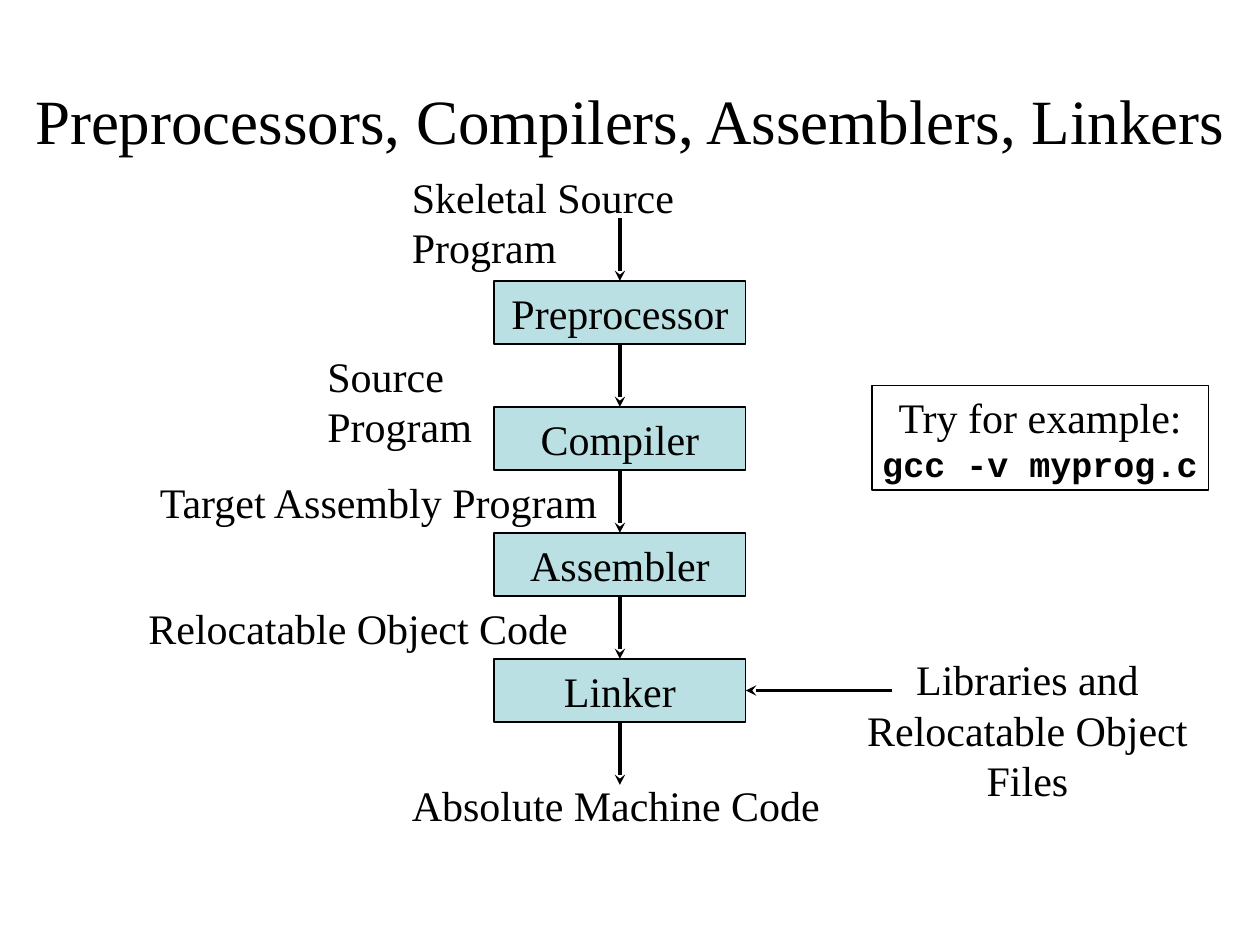
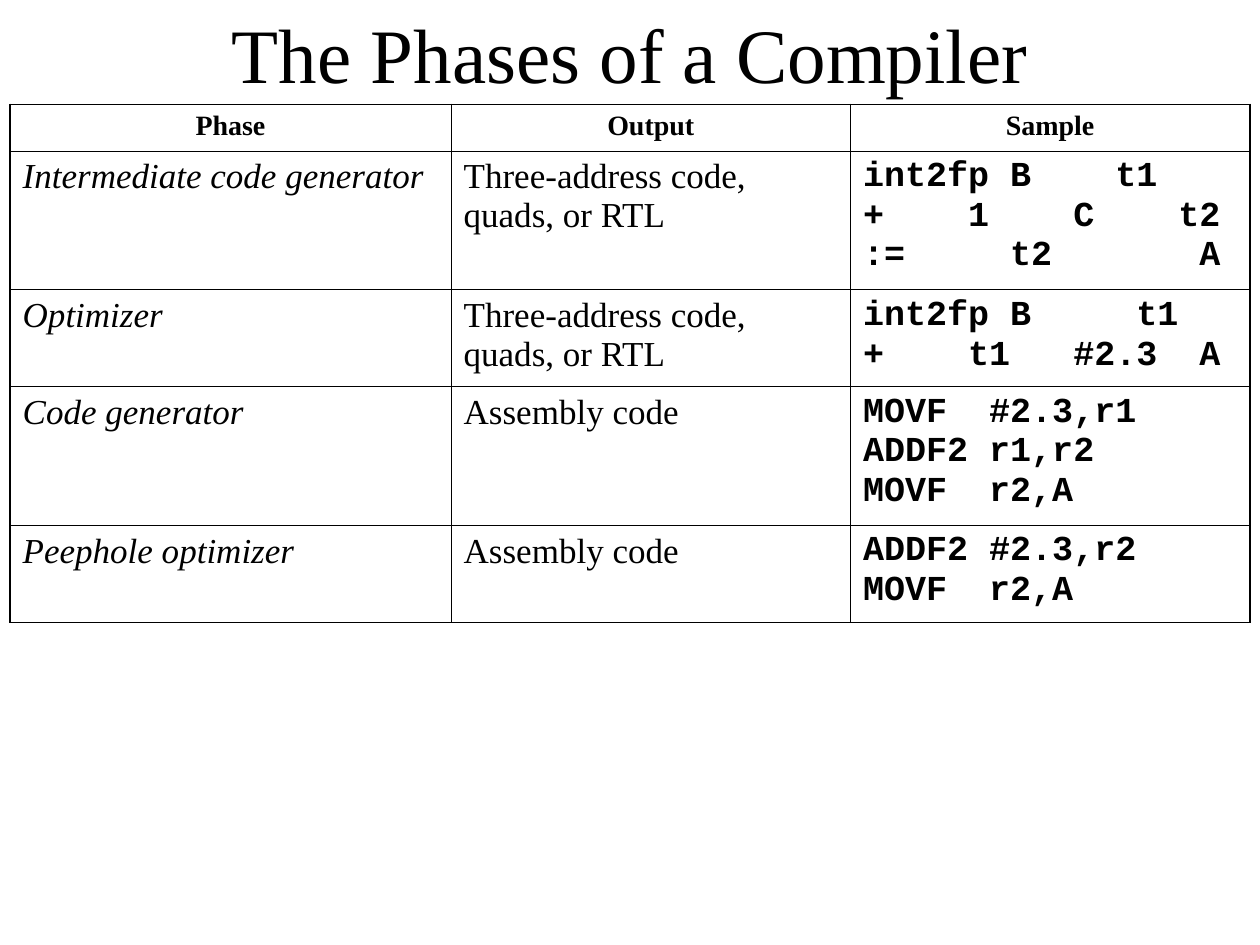
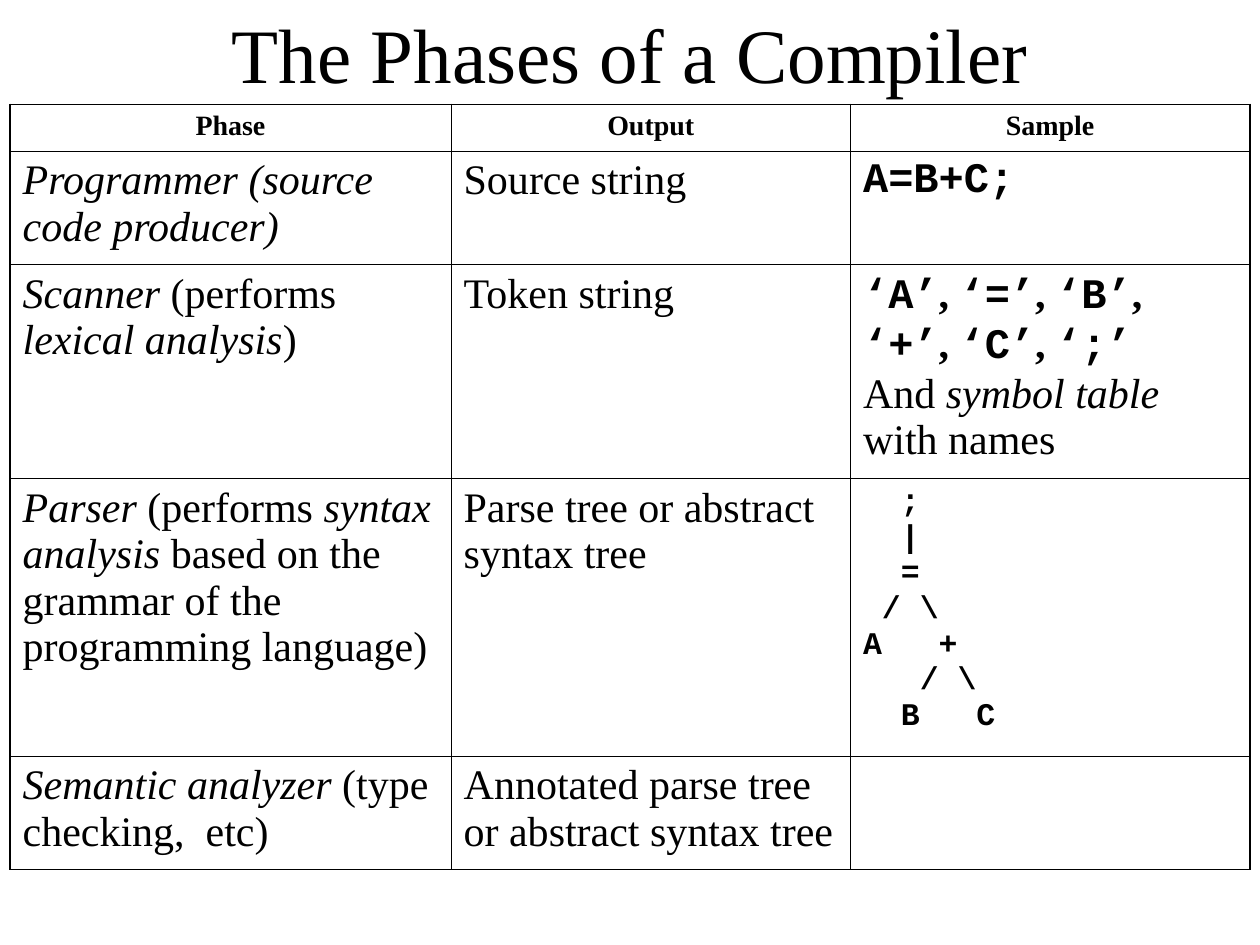
from lxml import etree
from pptx import Presentation
from pptx.dml.color import RGBColor
from pptx.enum.shapes import MSO_CONNECTOR, MSO_SHAPE
from pptx.enum.text import MSO_ANCHOR, MSO_AUTO_SIZE, PP_ALIGN
from pptx.oxml.ns import qn
from pptx.util import Inches, Pt

RECTANGLE = MSO_SHAPE.RECTANGLE
STRAIGHT = MSO_CONNECTOR.STRAIGHT
LEFT, CENTER = PP_ALIGN.LEFT, PP_ALIGN.CENTER
MIDDLE = MSO_ANCHOR.MIDDLE
GROW = MSO_AUTO_SIZE.SHAPE_TO_FIT_TEXT
TOP_SIDE, BOTTOM_SIDE, RIGHT_SIDE = 0, 2, 3

COLORS = {"ink": "000000", "stage": "BBE0E3"}
SERIF, MONO = "Times New Roman", "Courier New"
FORMATS = {
    "plain": {"name": SERIF, "bold": False, "italic": False},
    "italic": {"name": SERIF, "bold": False, "italic": True},
    "bold": {"name": SERIF, "bold": True, "italic": False},
    "code": {"name": MONO, "bold": True, "italic": False},
}
FRAMES = {
    "title": {"word_wrap": True, "vertical_anchor": MIDDLE},
    "label": {"word_wrap": False, "auto_size": GROW},
    "box": {"word_wrap": False, "vertical_anchor": MIDDLE},
}
THICK, THIN = 1.08, 0.45
COLUMN_WIDTHS = [3.5, 3.17, 3.17]
HEADINGS = ["Phase", "Output", "Sample"]
PHASES_TITLE = "The Phases of a Compiler"


def color(key):
    return RGBColor.from_string(COLORS[key])


def set_values(target, values):
    for attribute, value in values.items():
        setattr(target, attribute, value)


class Deck:
    def __init__(self):
        self.presentation = Presentation()
        self.presentation.slide_width = Inches(10)
        self.presentation.slide_height = Inches(7.5)
        self.slide = None

    def new_slide(self):
        blank = self.presentation.slide_layouts[6]
        self.slide = self.presentation.slides.add_slide(blank)

    def add_runs(self, paragraph, runs, size, align=LEFT, before=0):
        set_values(paragraph, {"alignment": align, "space_before": Pt(before)})
        for text, style in runs:
            for number, line in enumerate(text.split("\n")):
                if number:
                    paragraph.add_line_break()
                if line:
                    run = paragraph.add_run()
                    run.text = line
                    set_values(run.font, FORMATS[style])
                    run.font.size = Pt(size)
                    run.font.color.rgb = color("ink")

    def fill_frame(self, frame, kind, lines, align):
        set_values(frame, FRAMES[kind])
        for number, (text, style, size) in enumerate(lines):
            paragraph = frame.add_paragraph() if number else frame.paragraphs[0]
            self.add_runs(paragraph, [(text, style)], size, align)

    def text(self, at, kind, lines, align=LEFT):
        label = self.slide.shapes.add_textbox(*map(Inches, at))
        self.fill_frame(label.text_frame, kind, lines, align)

    def title(self, text, at, size):
        self.text(at, "title", [(text, "plain", size)], CENTER)

    def box(self, at, lines, fill=None):
        box = self.slide.shapes.add_shape(RECTANGLE, *map(Inches, at))
        box.shadow.inherit = False
        if fill:
            box.fill.solid()
            box.fill.fore_color.rgb = color(fill)
        else:
            box.fill.background()
        box.line.color.rgb = color("ink")
        box.line.width = Pt(0.75)
        self.fill_frame(box.text_frame, "box", lines, CENTER)
        return box

    def arrow(self, start, end, source=None, target=None):
        arrow = self.slide.shapes.add_connector(STRAIGHT, *map(Inches, start + end))
        if source:
            arrow.begin_connect(*source)
        if target:
            arrow.end_connect(*target)
        arrow.line.color.rgb = color("ink")
        arrow.line.width = Pt(2)
        properties = arrow._element.spPr
        etree.SubElement(properties.find(qn("a:ln")), qn("a:tailEnd"), type="stealth")
        etree.SubElement(properties, qn("a:effectLst"))

    def borders(self, cell, weights):
        cell.fill.background()
        properties = cell._tc.get_or_add_tcPr()
        for position, (side, weight) in enumerate(weights.items()):
            line = etree.Element(qn(f"a:ln{side}"), w=str(Pt(weight)))
            fill = etree.SubElement(line, qn("a:solidFill"))
            etree.SubElement(fill, qn("a:srgbClr"), val=COLORS["ink"])
            properties.insert(position, line)

    def phase_table(self, heights, rows, size, bottom, sizes=None):
        sizes = sizes or {}
        header = [[(heading, "bold")] for heading in HEADINGS]
        area = map(Inches, (0.08, 0.83, sum(COLUMN_WIDTHS), sum(heights)))
        table = self.slide.shapes.add_table(len(heights), len(HEADINGS), *area).table
        set_values(table, {"first_row": False, "horz_banding": False})
        for column, width in zip(table.columns, COLUMN_WIDTHS):
            column.width = Inches(width)
        for row, height in zip(table.rows, heights):
            row.height = Inches(height)
        last_row, last_column = len(heights) - 1, len(HEADINGS) - 1
        for r, cells in enumerate([header] + rows):
            for c, runs in enumerate(cells):
                cell = table.cell(r, c)
                self.borders(cell, {
                    "L": THIN if c else THICK,
                    "R": THICK if c == last_column else THIN,
                    "T": THIN if r else THICK,
                    "B": bottom if r == last_row else THIN,
                })
                points = sizes.get((r, c), size) if r else 16
                self.add_runs(cell.text_frame.paragraphs[0], runs, points,
                              LEFT if r else CENTER, points / 4)


def toolchain_slide(deck):
    deck.new_slide()
    deck.title("Preprocessors, Compilers, Assemblers, Linkers", (0, 0.67, 10, 0.56), 36)

    left, middle, top, height = 3.92, 4.92, 2.23, 0.5
    stages = [
        deck.box((left, top + i, 2, height), [(name, "plain", 24)], "stage")
        for i, name in enumerate(["Preprocessor", "Compiler", "Assembler", "Linker"])
    ]
    linker = stages[-1]
    for i, (source, target) in enumerate(zip([None] + stages, stages + [None])):
        deck.arrow((middle, top + i - height), (middle, top + i),
                   source and (source, BOTTOM_SIDE), target and (target, TOP_SIDE))
    deck.arrow((7.08, 5.48), (5.92, 5.48), target=(linker, RIGHT_SIDE))

    for text, x, y, width in [
        ("Skeletal Source Program", 3.17, 1.31, 3.51),
        ("Source Program", 2.5, 2.73, 2.35),
        ("Target Assembly Program", 1.17, 3.73, 3.72),
        ("Relocatable Object Code", 1.08, 4.73, 3.53),
        ("Absolute Machine Code", 3.17, 6.14, 3.44),
    ]:
        deck.text((x, y, width, 0.5), "label", [(text, "plain", 24)])
    deck.text((6.42, 5.14, 3.47, 0.9), "label",
              [("Libraries and", "plain", 24), ("Relocatable Object Files", "plain", 24)],
              CENTER)
    deck.box((6.92, 3.06, 2.67, 0.83),
             [("Try for example:", "plain", 24), ("gcc -v myprog.c", "code", 20)])


def phases_slide(deck, heights, rows, size, bottom, sizes=None):
    deck.new_slide()
    deck.title(PHASES_TITLE, (0.75, 0, 8.5, 0.83), 44)
    deck.phase_table(heights, rows, size, bottom, sizes)


def back_end_rows():
    three_address = "Three-address code, quads, or RTL"
    assembly = "Assembly code"
    phases = [
        ("Intermediate code generator", three_address,
         "int2fp B    t1\n+    1    C    t2\n:=     t2       A"),
        ("Optimizer", three_address, "int2fp B     t1\n+    t1   #2.3  A"),
        ("Code generator", assembly, "MOVF  #2.3,r1\nADDF2 r1,r2\nMOVF  r2,A"),
        ("Peephole optimizer", assembly, "ADDF2 #2.3,r2\nMOVF  r2,A"),
    ]
    return [[[(phase, "italic")], [(output, "plain")], [(sample, "code")]]
            for phase, output, sample in phases]


def front_end_rows():
    tokens = []
    for token in "A=B+C":
        tokens += [(f"‘{token}’", "code"), (", ", "bold")]
    tokens += [("‘;’\n", "code"), ("And ", "plain"),
               ("symbol table", "italic"), (" with names", "plain")]
    tree = "  ;\n  |\n  =\n / \\\nA   +\n   / \\\n  B   C"
    return [
        [[("Programmer (source code producer)", "italic")],
         [("Source string", "plain")],
         [("A=B+C;", "code")]],
        [[("Scanner", "italic"), (" (performs ", "plain"),
          ("lexical analysis", "italic"), (")", "plain")],
         [("Token string", "plain")],
         tokens],
        [[("Parser", "italic"), (" (performs", "plain"), (" syntax analysis", "italic"),
          (" based on the grammar of the programming language)", "plain")],
         [("Parse tree or abstract syntax tree", "plain")],
         [(tree, "code")]],
        [[("Semantic analyzer", "italic"), (" (type checking,  etc)", "plain")],
         [("Annotated parse tree or abstract syntax tree", "plain")],
         []],
    ]


def main():
    deck = Deck()
    toolchain_slide(deck)
    phases_slide(deck, [0.37, 1.1, 0.77, 1.1, 0.77], back_end_rows(), 20, THICK)
    phases_slide(deck, [0.37, 0.9, 1.7, 2.2, 0.9], front_end_rows(), 24, THIN, {(3, 2): 18})
    deck.presentation.save("out.pptx")


if __name__ == "__main__":
    main()
